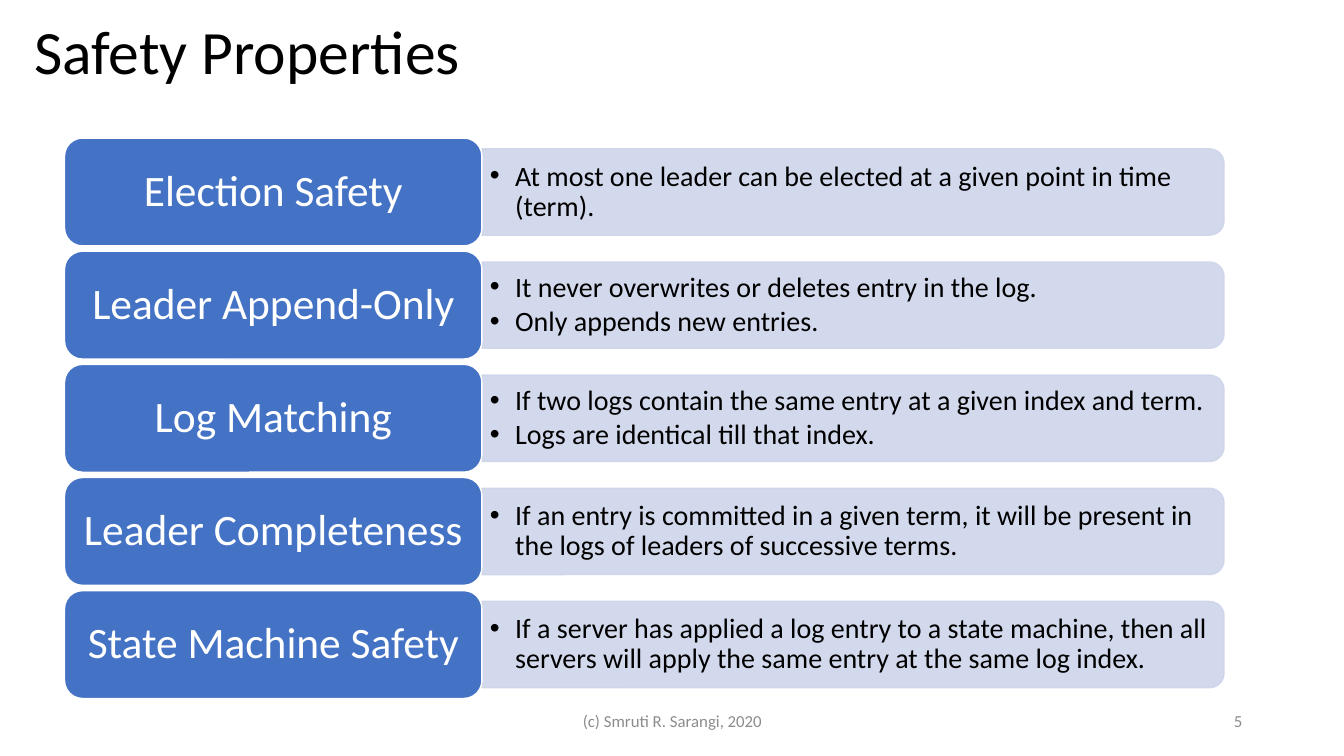
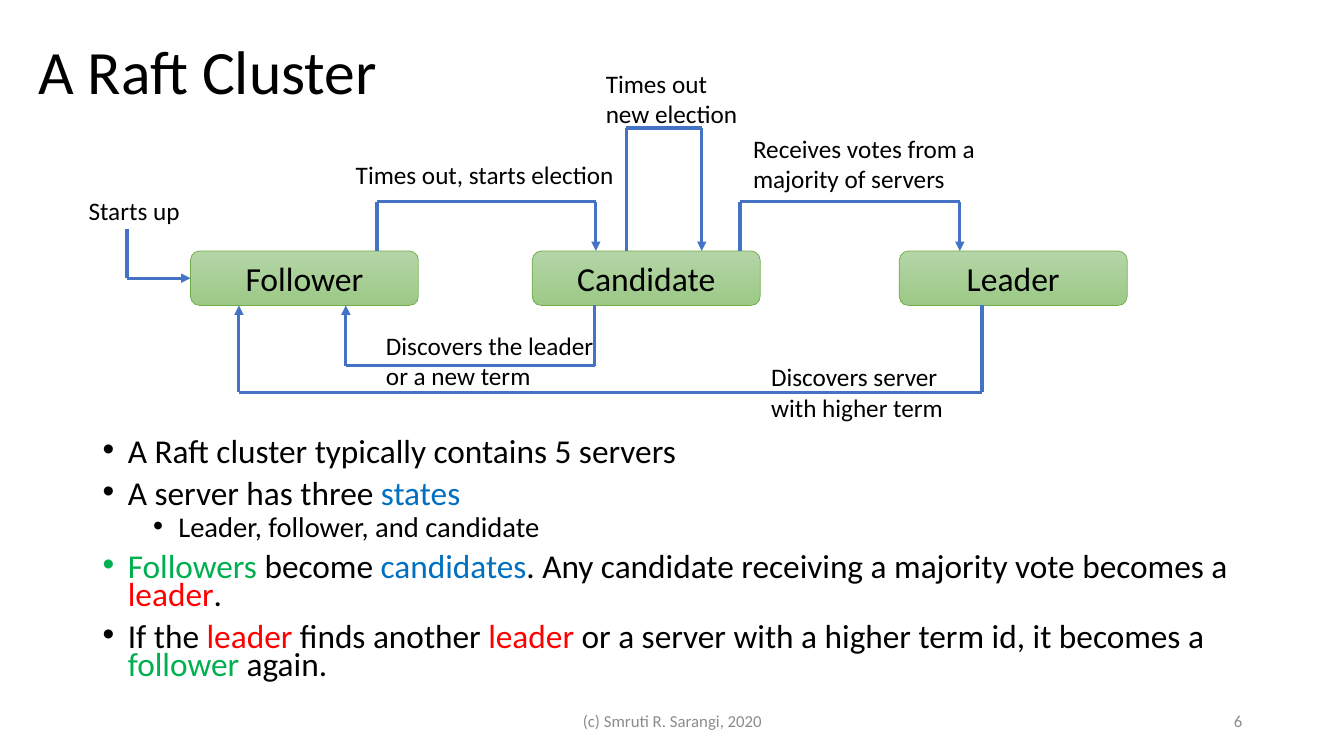
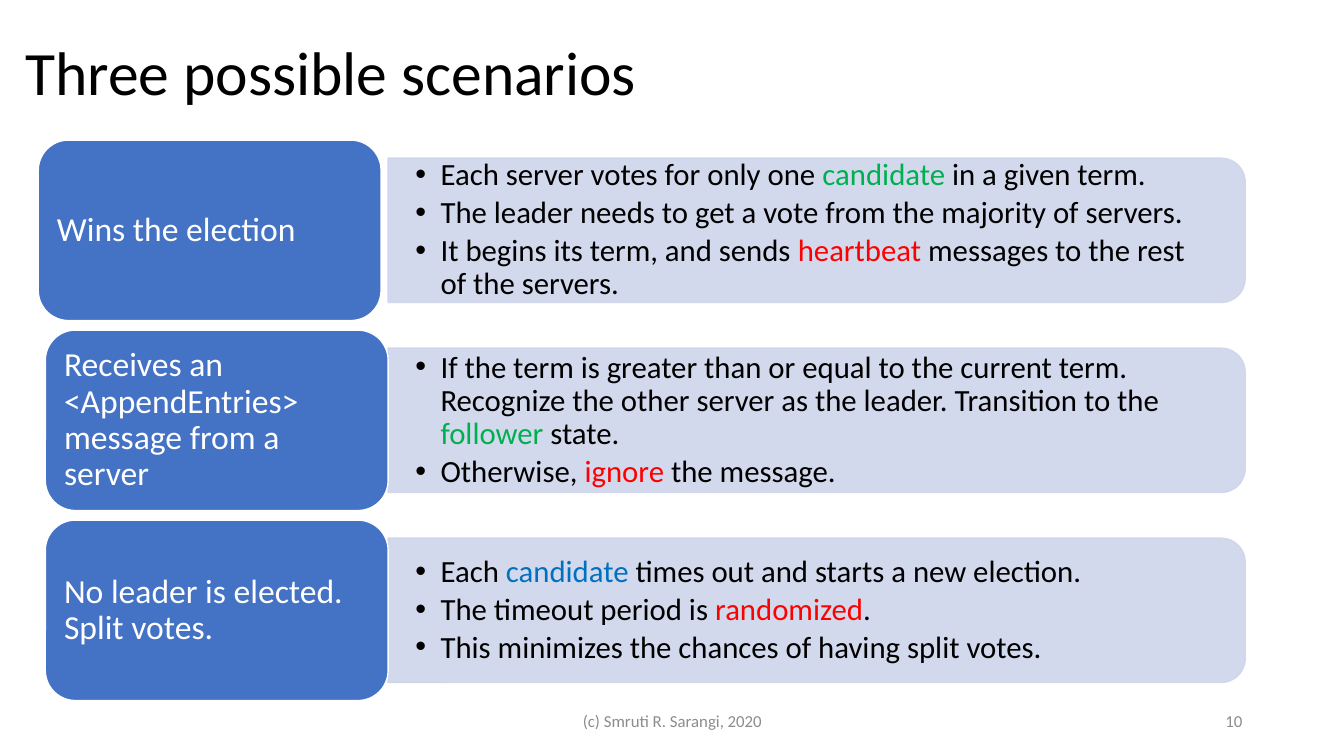
import lxml.etree
import pptx
import pptx.dml.color
import pptx.enum.shapes
import pptx.enum.text
import pptx.oxml.ns
import pptx.util

Inches = pptx.util.Inches
Pt = pptx.util.Pt
Shape = pptx.enum.shapes.MSO_SHAPE
Align = pptx.enum.text.PP_ALIGN
Anchor = pptx.enum.text.MSO_ANCHOR
qn = pptx.oxml.ns.qn

FONT = "Calibri"
BLACK, WHITE, GREY = "000000", "FFFFFF", "8C8C8C"
BLUE, PALE_BLUE = "4472C4", "CFD5EA"
RED, GREEN, AZURE = "FF0000", "00B050", "0070C0"
STATE_TOP, STATE_BOTTOM, STATE_EDGE = "B5D5A7", "9CC987", "70AD47"
CORNER_INSET = 0.05
BAND_SHARE = 0.8


def rgb(value):
    return pptx.dml.color.RGBColor.from_string(value)


def add_child(parent, tag, **attributes):
    return lxml.etree.SubElement(parent, qn(tag), **attributes)


def add_bullet(para, margin, color):
    properties = para._p.get_or_add_pPr()
    properties.set("marL", str(Inches(margin)))
    properties.set("indent", str(Inches(-0.25)))
    add_child(add_child(properties, "a:buClr"), "a:srgbClr", val=color)
    add_child(properties, "a:buFont", typeface="Arial")
    add_child(properties, "a:buChar", char="•")


def write_para(para, content, size=18, color=BLACK, align=Align.LEFT,
               spacing=1.0, before=0, after=0, margin=None):
    parts = [content] if isinstance(content, str) else content
    spans = [(part, color) if isinstance(part, str) else part for part in parts]
    para.alignment = align
    para.line_spacing = spacing
    para.space_before = Pt(before)
    para.space_after = Pt(after)
    if margin is not None:
        add_bullet(para, margin, spans[0][1])
    for text, span_color in spans:
        span = para.add_run()
        span.text = text
        span.font.name = FONT
        span.font.size = Pt(size)
        span.font.color.rgb = rgb(span_color)


def write(frame, contents, anchor=Anchor.TOP, insets=(0.1, 0.05), wrap=True, **style):
    frame.word_wrap = wrap
    frame.vertical_anchor = anchor
    frame.margin_left = frame.margin_right = Inches(insets[0])
    frame.margin_top = frame.margin_bottom = Inches(insets[1])
    for index, content in enumerate(contents):
        para = frame.add_paragraph() if index else frame.paragraphs[0]
        write_para(para, content, **style)


def add_text(page, box, contents, **style):
    frame = page.shapes.add_textbox(*map(Inches, box)).text_frame
    write(frame, contents, **style)
    return frame


def add_block(page, kind, box, fill, edge, width=1):
    shape = page.shapes.add_shape(kind, *map(Inches, box))
    shape.shadow.inherit = False
    shape.fill.solid()
    shape.fill.fore_color.rgb = rgb(fill)
    shape.line.color.rgb = rgb(edge)
    shape.line.width = Pt(width)
    return shape


def add_page(deck, title, left, top, number):
    page = deck.slides.add_slide(deck.slide_layouts[6])
    add_text(page, (left, top, 11.5, 1.45), [title], size=44, spacing=0.9,
             anchor=Anchor.MIDDLE)
    add_text(page, (4.42, 6.95, 4.5, 0.4), ["(c) Smruti R. Sarangi, 2020"], size=12,
             color=GREY, align=Align.CENTER, anchor=Anchor.MIDDLE)
    add_text(page, (9.42, 6.95, 3, 0.4), [str(number)], size=12, color=GREY,
             align=Align.RIGHT, anchor=Anchor.MIDDLE)
    return page


def add_band(page, box, bullets, size, insets):
    left, top, width, height = box
    upright = (left + (width - height) / 2, top + (height - width) / 2, height, width)
    band = add_block(page, Shape.ROUND_2_SAME_RECTANGLE, upright, PALE_BLUE, PALE_BLUE)
    band.rotation = 90
    for color in band._element.spPr.iter(qn("a:srgbClr")):
        add_child(color, "a:alpha", val="90000")
    edge = CORNER_INSET * height
    add_text(page, (left, top + edge, width - edge, height - 2 * edge), bullets,
             size=size, insets=insets, anchor=Anchor.MIDDLE, spacing=0.9,
             after=0.15 * size, margin=0.25)


def add_label(page, box, text, **style):
    label = add_block(page, Shape.ROUNDED_RECTANGLE, box, BLUE, WHITE)
    write(label.text_frame, [text], color=WHITE, anchor=Anchor.MIDDLE, spacing=0.9, **style)


def add_rows(page, box, rows, label_size, band_style, label_style, shifts=()):
    left, top, width, height = box
    label_width, label_height = label_size
    pitch = (height - label_height) / (len(rows) - 1)
    band_height = BAND_SHARE * label_height
    for index, (label, bullets) in enumerate(rows):
        row_top = top + index * pitch
        band_top = row_top + (label_height - band_height) / 2
        add_band(page, (left + label_width, band_top, width - label_width, band_height),
                 bullets, **band_style)
        shift = shifts[index] if index < len(shifts) else 0
        add_label(page, (left + shift, row_top, label_width, label_height), label,
                  **label_style)


def add_state(page, box, name):
    state = add_block(page, Shape.ROUNDED_RECTANGLE, box, STATE_TOP, STATE_EDGE, 0.5)
    state.fill.gradient()
    state.fill.gradient_angle = 270
    for stop, color in zip(state.fill.gradient_stops, (STATE_TOP, STATE_BOTTOM)):
        stop.color.rgb = rgb(color)
    first, last = state.fill.gradient_stops
    first.position, last.position = 0, 1
    write(state.text_frame, [name], size=24, align=Align.CENTER, anchor=Anchor.MIDDLE)


def add_route(page, origin, points):
    places = [(Inches(origin[0] + x), Inches(origin[1] + y)) for x, y in points]
    for start, end in zip(places, places[1:]):
        line = page.shapes.add_connector(pptx.enum.shapes.MSO_CONNECTOR.STRAIGHT,
                                         *start, *end)
        line.line.color.rgb = rgb(BLUE)
        line.line.width = Pt(2.25)
        properties = line._element.spPr
        if end == places[-1]:
            add_child(properties.find(qn("a:ln")), "a:tailEnd", type="triangle")
        add_child(properties, "a:effectLst")


def add_state_diagram(page, left, top):
    state_width, state_height = 2.26, 0.54
    for x, name in ((0, "Follower"), (3.39, "Candidate"), (7.03, "Leader")):
        add_state(page, (left + x, top, state_width, state_height), name)

    base = state_height
    routes = [
        [(-0.63, -0.22), (-0.63, 0.27), (0, 0.27)],
        [(1.85, 0), (1.85, -0.49), (4.02, -0.49), (4.02, 0)],
        [(5.45, 0), (5.45, -0.49), (7.63, -0.49), (7.63, 0)],
        [(4.32, 0), (4.32, -1.22), (5.07, -1.22), (5.07, 0)],
        [(4.01, base), (4.01, 1.14), (1.54, 1.14), (1.54, base)],
        [(7.85, base), (7.85, 1.4), (0.48, 1.4), (0.48, base)],
    ]
    for points in routes:
        add_route(page, (left, top), points)

    captions = [
        (-1.11, -0.6, 1.11, ["Starts up"]),
        (1.54, -0.96, 2.79, ["Times out, starts election"]),
        (5.48, -1.22, 2.49, ["Receives votes from a", "majority of servers"]),
        (4.02, -1.86, 1.52, ["Times out", "new election"]),
        (5.66, 1.05, 1.93, ["Discovers server", "with higher term"]),
        (1.84, 0.74, 2.28, ["Discovers the leader", "or a new term"]),
    ]
    for x, y, width, lines in captions:
        add_text(page, (left + x, top + y, width, 0.1 + 0.3 * len(lines)), lines, wrap=False)


def add_outline(page, box, items):
    levels = [dict(size=23.8, before=10, margin=0.25), dict(size=20.4, before=5, margin=0.75)]
    frame = page.shapes.add_textbox(*map(Inches, box)).text_frame
    frame.word_wrap = True
    for index, (level, content) in enumerate(items):
        para = frame.add_paragraph() if index else frame.paragraphs[0]
        style = dict(levels[level])
        if not index:
            style["before"] = 0
        write_para(para, content, spacing=0.7, **style)


def build_safety(deck):
    page = add_page(deck, "Safety Properties", 0.24, -0.18, 5)
    rows = [
        ("Election Safety",
         ["At most one leader can be elected at a given point in time (term)."]),
        ("Leader Append-Only",
         ["It never overwrites or deletes entry in the log.", "Only appends new entries."]),
        ("Log Matching",
         ["If two logs contain the same entry at a given index and term.",
          "Logs are identical till that index."]),
        ("Leader Completeness",
         ["If an entry is committed in a given term, it will be present in the logs of "
          "leaders of successive terms."]),
        ("State Machine Safety",
         ["If a server has applied a log entry to a state machine, then all servers will "
          "apply the same entry at the same log index."]),
    ]
    add_rows(page, (0.64, 1.37, 11.5, 5.56), rows, (4.14, 1.07),
             dict(size=20, insets=(0.08, 0.04)),
             dict(size=31, insets=(0.13, 0.06), align=Align.CENTER))


def build_cluster(deck):
    page = add_page(deck, "A Raft Cluster", 0.28, 0.01, 6)
    add_outline(page, (0.92, 4.33, 11.5, 2.74), [
        (0, "A Raft cluster typically contains 5 servers"),
        (0, ["A server has three ", ("states", AZURE)]),
        (1, "Leader, follower, and candidate"),
        (0, [("Followers", GREEN), " become ", ("candidates", AZURE),
             ". Any candidate receiving a majority vote becomes a ", ("leader", RED), "."]),
        (0, ["If the ", ("leader", RED), " finds another ", ("leader", RED),
             " or a server with a higher term id, it becomes a ", ("follower", GREEN),
             " again."]),
    ])
    add_state_diagram(page, 1.89, 2.49)


def build_scenarios(deck):
    page = add_page(deck, "Three possible scenarios", 0.15, 0.02, 10)
    rows = [
        ("Wins the election",
         [["Each server votes for only one ", ("candidate", GREEN), " in a given term."],
          "The leader needs to get a vote from the majority of servers.",
          ["It begins its term, and sends ", ("heartbeat", RED),
           " messages to the rest of the servers."]]),
        ("Receives an <AppendEntries> message from a server",
         [["If the term is greater than or equal to the current term. Recognize the other "
           "server as the leader. Transition to the ", ("follower", GREEN), " state."],
          ["Otherwise, ", ("ignore", RED), " the message."]]),
        ("No leader is elected. Split votes.",
         [["Each ", ("candidate", AZURE), " times out and starts a new election."],
          ["The timeout period is ", ("randomized", RED), "."],
          "This minimizes the chances of having split votes."]),
    ]
    add_rows(page, (0.45, 1.39, 11.9, 5.56), rows, (3.4, 1.79),
             dict(size=22, insets=(0.27, 0.14)), dict(size=24), shifts=(-0.07,))


def main():
    deck = pptx.Presentation()
    deck.slide_width = Inches(13.33)
    deck.slide_height = Inches(7.5)
    for build in (build_safety, build_cluster, build_scenarios):
        build(deck)
    deck.save("out.pptx")


if __name__ == "__main__":
    main()
